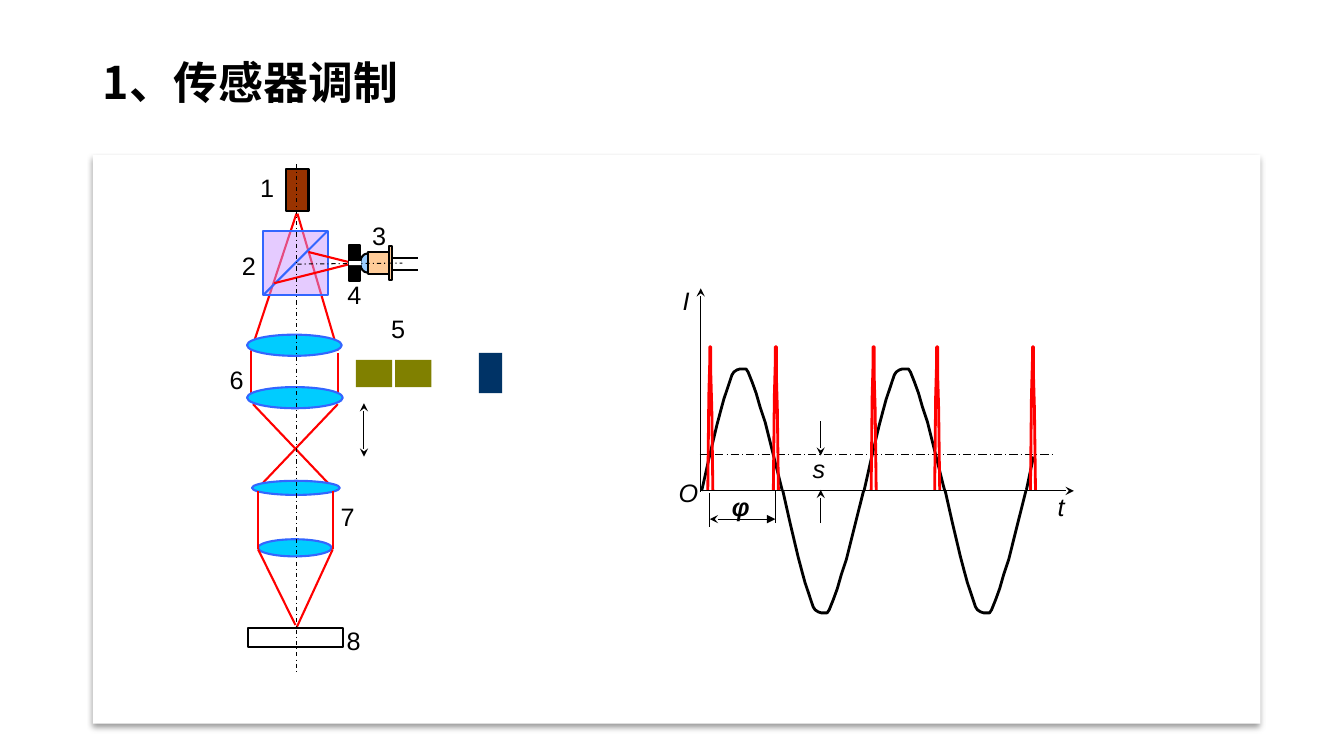
from lxml import etree
from pptx import Presentation
from pptx import util as u
from pptx.dml.color import RGBColor
from pptx.enum import dml, shapes, text
from pptx.oxml import ns

COLORS = {
    "black": "000000", "white": "FFFFFF", "ray": "FF0000", "edge": "3366FF",
    "lens": "00CCFF", "prism": "CC99FF", "laser": "993300", "fork": "808000",
    "drive": "003366", "dome": "99CCFF", "diode": "FFCC99",
}
RECT, OVAL = shapes.MSO_SHAPE.RECTANGLE, shapes.MSO_SHAPE.OVAL
DASH_DOT = dml.MSO_LINE.DASH_DOT
LONG_DASH_DOT = dml.MSO_LINE.LONG_DASH_DOT
LEFT, CENTER = text.PP_ALIGN.LEFT, text.PP_ALIGN.CENTER
INSET = 0.1

# Half period of the modulated signal and one detector pulse: (time, height)
HALF_WAVE = [(0, 0), (0.07, 0.31), (0.15, 0.65), (0.19, 0.8), (0.22, 0.91),
             (0.25, 1), (0.28, 1.09), (0.3, 1.15), (0.32, 1.18), (0.35, 1.2),
             (0.38, 1.21), (0.42, 1.21), (0.44, 1.21), (0.46, 1.18),
             (0.5, 1.08), (0.54, 0.97), (0.58, 0.83), (0.63, 0.68),
             (0.72, 0.32), (0.8, 0)]
PULSE = [(0, 0), (0.01, 0.93), (0.02, 1.28), (0.02, 1.42), (0.03, 1.42),
         (0.03, 1.14), (0.04, 0.8), (0.05, 0)]


def rgb(name):
    return RGBColor.from_string(COLORS[name])


def child(parent, tag, **attributes):
    return etree.SubElement(parent, ns.qn(tag), **attributes)


def apply_format(target, values):
    for name, value in values.items():
        setattr(target, name, value)


class Canvas:
    """Holds the slide and the shared text and line style."""

    font = "Arial"
    size = 18

    def __init__(self, slide):
        self.slide = slide

    def outline(self, shape, color, width):
        if color is None:
            shape.line.fill.background()
        else:
            shape.line.color.rgb = rgb(color)
            shape.line.width = u.Pt(width)

    def box(self, kind, at, fill, line=None, width=1.5, alpha=None):
        shape = self.slide.shapes.add_shape(kind, *map(u.Inches, at))
        shape.shadow.inherit = False
        shape.fill.solid()
        shape.fill.fore_color.rgb = rgb(fill)
        if alpha is not None:
            color = shape.element.spPr.find(".//" + ns.qn("a:srgbClr"))
            child(color, "a:alpha", val=str(alpha * 1000))
        self.outline(shape, line, width)
        return shape

    def panel(self, at):
        """White card with a soft shadow below it."""
        shape = self.box(RECT, at, "white")
        effects = shape.element.spPr.find(ns.qn("a:effectLst"))
        shadow = child(effects, "a:outerShdw", blurRad=str(u.Pt(4)),
                       dist=str(u.Pt(3)), dir="5400000", algn="t", rotWithShape="0")
        color = child(shadow, "a:srgbClr", val=COLORS["black"])
        child(color, "a:alpha", val="40000")

    def line(self, start, end, color="black", width=0.75, dash=None, head=None, tail=None):
        connector = self.slide.shapes.add_connector(
            shapes.MSO_CONNECTOR.STRAIGHT, *map(u.Inches, (*start, *end)))
        self.outline(connector, color, width)
        if dash is not None:
            connector.line.dash_style = dash
        properties = connector.element.spPr
        for tag, kind in (("a:headEnd", head), ("a:tailEnd", tail)):
            if kind:
                child(properties.find(ns.qn("a:ln")), tag, type=kind)
        child(properties, "a:effectLst")

    def curve(self, origin, points, color, flip=1):
        """Open outline through (time, height) points measured from origin."""
        left, base = origin
        outline = [(u.Inches(left + x), u.Inches(base - flip * y)) for x, y in points]
        builder = self.slide.shapes.build_freeform(*outline[0], scale=1.0)
        builder.add_line_segments(outline[1:], close=False)
        shape = builder.convert_to_shape()
        shape.shadow.inherit = False
        shape.fill.background()
        self.outline(shape, color, 2)

    def set_text(self, shape, words, align=LEFT, inset=INSET, anchor=text.MSO_ANCHOR.TOP,
                 spacing=1.0, font=None, **style):
        frame = shape.text_frame
        apply_format(frame, {
            "word_wrap": True, "vertical_anchor": anchor,
            "margin_left": u.Inches(inset), "margin_right": u.Inches(inset),
            "margin_top": u.Inches(inset / 2), "margin_bottom": u.Inches(inset / 2)})
        paragraph = frame.paragraphs[0]
        apply_format(paragraph, {"alignment": align, "line_spacing": spacing})
        run = paragraph.add_run()
        run.text = words
        name = font or self.font
        apply_format(run.font, {"name": name, "size": u.Pt(self.size), **style})
        run.font.color.rgb = rgb("black")
        child(run.font.fill and paragraph._p.find(".//" + ns.qn("a:rPr")),
              "a:ea", typeface=name)

    def label(self, words, at, **style):
        shape = self.slide.shapes.add_textbox(*map(u.Inches, at))
        self.set_text(shape, words, **style)


def draw_optics(canvas):
    def rays(*segments):
        for start, end in segments:
            canvas.line(start, end, "ray", 1.5)

    rays(((2.51, 4.01), (3.28, 4.82)), ((3.35, 4.01), (2.58, 4.82)))
    for words, at, align in (
            ("1", (2.45, 1.66, 0.4, 0.56), CENTER), ("5", (3.75, 3.06, 0.4, 0.46), CENTER),
            ("2", (2.3, 2.43, 0.39, 0.36), LEFT), ("4", (3.33, 2.72, 0.37, 0.43), CENTER),
            ("3", (3.58, 2.14, 0.36, 0.35), CENTER), ("6", (2.18, 3.57, 0.39, 0.44), LEFT),
            ("8", (3.34, 6.15, 0.66, 0.47), LEFT)):
        canvas.label(words, at, align=align)
    canvas.box(RECT, (4.75, 3.5, 0.23, 0.4), "drive")
    for left in (3.53, 3.92):
        canvas.box(RECT, (left, 3.57, 0.36, 0.27), "fork")
    rays(((2.49, 3.48), (2.49, 3.94)), ((3.35, 3.5), (3.35, 3.93)),
         ((2.95, 2.12), (3.35, 3.48)), ((2.94, 2.12), (2.49, 3.48)))

    canvas.box(RECT, (2.61, 2.29, 0.64, 0.64), "prism", "edge", alpha=50)
    canvas.line((3.25, 2.29), (2.61, 2.93), "edge", 1.5)
    rays(((3.51, 2.61), (2.72, 2.81)), ((3.5, 2.61), (3.06, 2.5)))

    canvas.box(OVAL, (3.57, 2.51, 0.18, 0.2), "dome", "black")
    canvas.box(RECT, (3.65, 2.5, 0.21, 0.22), "diode", "black")
    canvas.box(RECT, (3.86, 2.44, 0.03, 0.34), "diode", "black")
    for pin in (2.56, 2.68):
        canvas.line((3.9, pin), (4.15, pin), width=1.5)
    canvas.line((2.95, 2.62), (3.99, 2.61), dash=DASH_DOT)

    mark = canvas.box(RECT, (3.28, 4.92, 0.66, 0.49), "white", "white")
    canvas.set_text(mark, "7")
    for lens in ((2.5, 4.77, 0.87, 0.14), (2.45, 3.32, 0.94, 0.21),
                 (2.45, 3.84, 0.95, 0.21), (2.56, 5.35, 0.73, 0.17)):
        canvas.box(OVAL, lens, "lens", "edge")
    canvas.line((3.61, 4), (3.61, 4.53), head="stealth", tail="stealth")
    for side, focus in ((3.3, (2.94, 6.23)), (2.56, (2.93, 6.2))):
        rays(((side, 5.45), (side, 4.87)), ((side, 5.45), focus))

    canvas.box(RECT, (2.46, 6.23, 0.94, 0.19), "white", "black")
    canvas.box(RECT, (2.84, 1.68, 0.22, 0.41), "laser", "black")
    canvas.line((2.94, 1.63), (2.94, 6.66), dash=DASH_DOT)
    canvas.box(RECT, (3.46, 2.43, 0.11, 0.36), "black", "black")
    canvas.box(RECT, (3.46, 2.59, 0.12, 0.04), "white")


def draw_signal(canvas):
    axis = 4.87
    canvas.line((6.95, axis), (10.65, axis), tail="stealth")
    for index in range(4):
        canvas.curve((6.96 + 0.805 * index, axis), HALF_WAVE, "black", (-1) ** index)
    canvas.line((10.25, 4.53), (10.18, 4.86), width=2)
    canvas.line((6.94, 4.51), (10.44, 4.51), dash=LONG_DASH_DOT)
    for left in (7.02, 7.67, 8.64, 9.27, 10.22):
        canvas.curve((left, 4.86), PULSE, "ray")
    canvas.line((6.95, 2.86), (6.95, 4.88), head="stealth")
    for left, top, bottom in ((7.04, 4.89, 5.23), (7.69, 4.86, 5.19)):
        canvas.line((left, top), (left, bottom))
    canvas.line((7.04, 5.15), (7.69, 5.15), head="stealth", tail="triangle")
    for start, end in ((4.18, 4.52), (5.19, 4.86)):
        canvas.line((8.14, start), (8.14, end), tail="stealth")
    for words, left, top, bold in (("O", 6.73, 4.74, False), ("I", 6.77, 2.83, False),
                                   ("s", 8.06, 4.5, False), ("t", 10.49, 4.87, False),
                                   ("φ", 7.26, 4.87, True)):
        canvas.label(words, (left, top, 0.42, 0.77), inset=0, italic=True, bold=bold)


def main():
    presentation = Presentation()
    presentation.slide_width, presentation.slide_height = u.Inches(13.33), u.Inches(7.5)
    canvas = Canvas(presentation.slides.add_slide(presentation.slide_layouts[6]))
    canvas.panel((0.92, 1.54, 11.58, 5.64))
    canvas.label("1、传感器调制", (0.92, 0.52, 11.5, 0.65), anchor=text.MSO_ANCHOR.MIDDLE,
                 spacing=0.9, font="Noto Sans CJK SC", size=u.Pt(32), bold=True)
    draw_optics(canvas)
    draw_signal(canvas)
    presentation.save("out.pptx")


if __name__ == "__main__":
    main()
